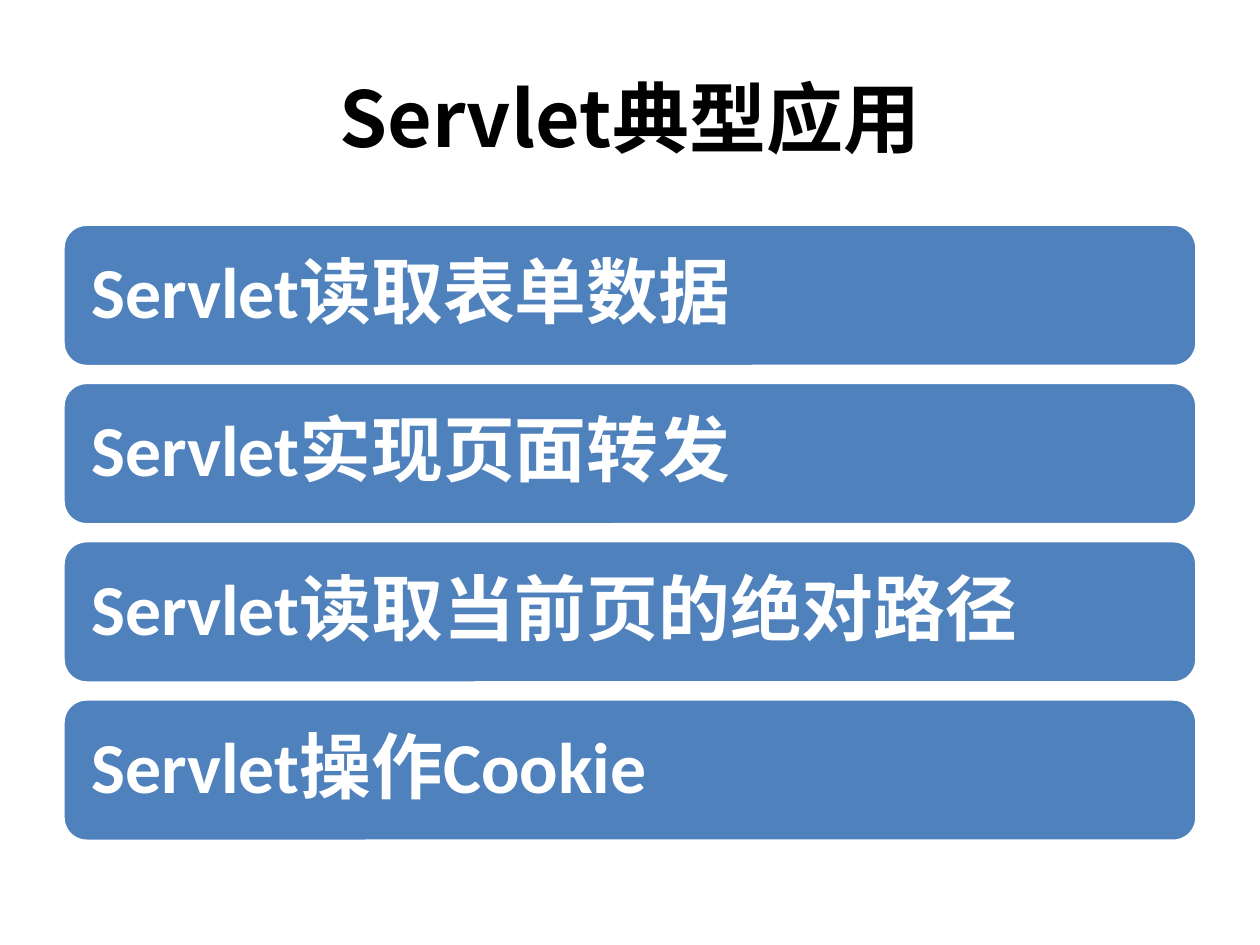
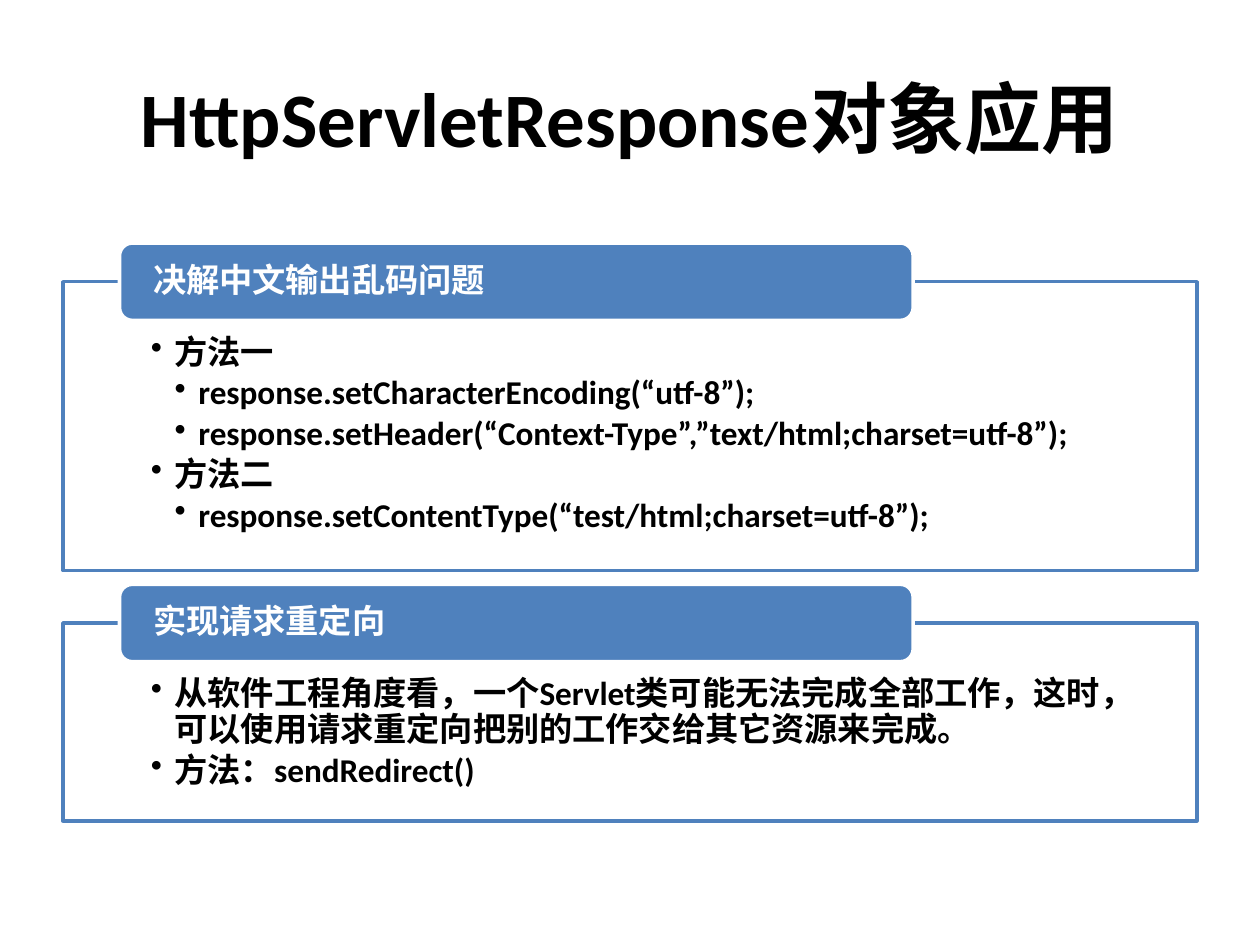
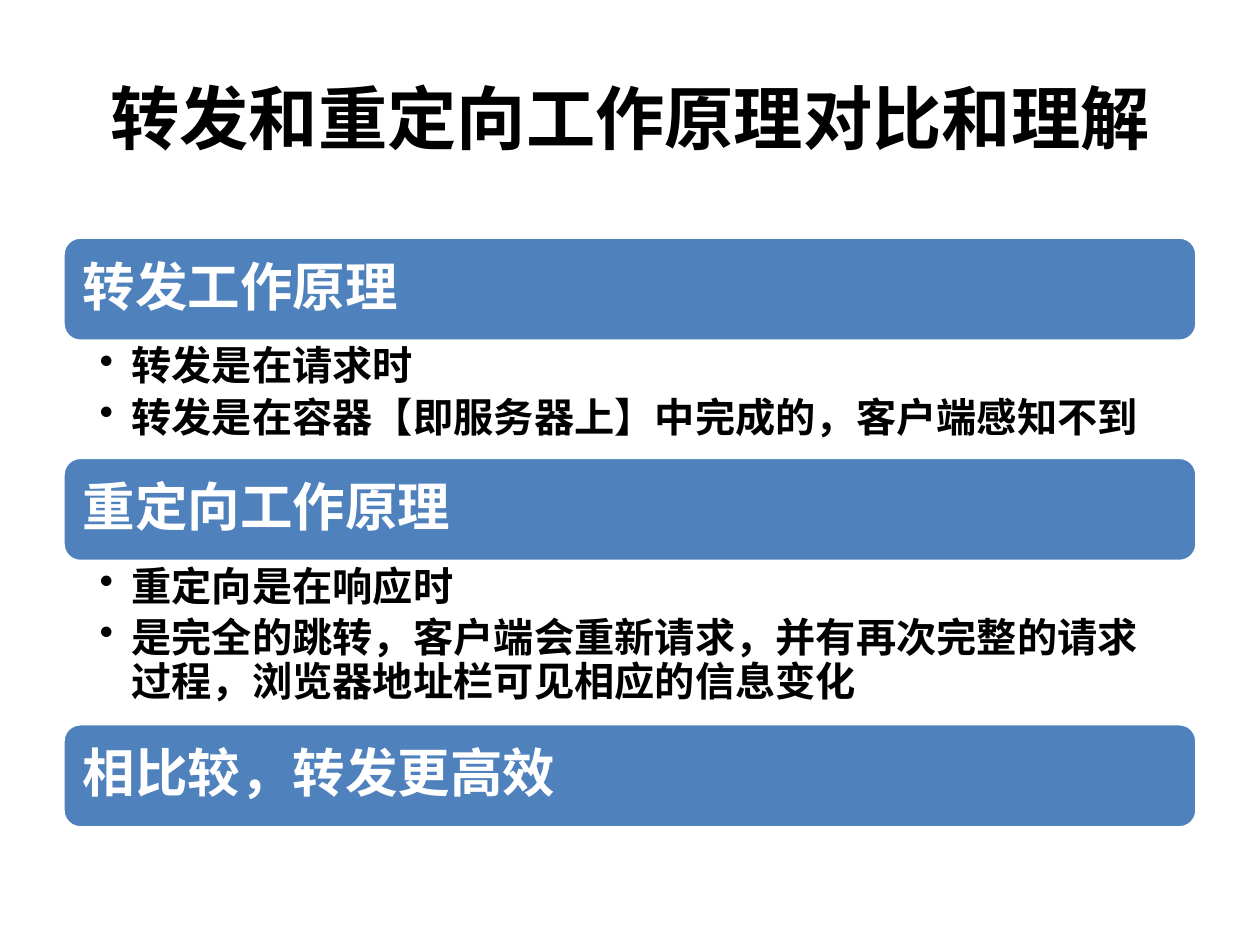
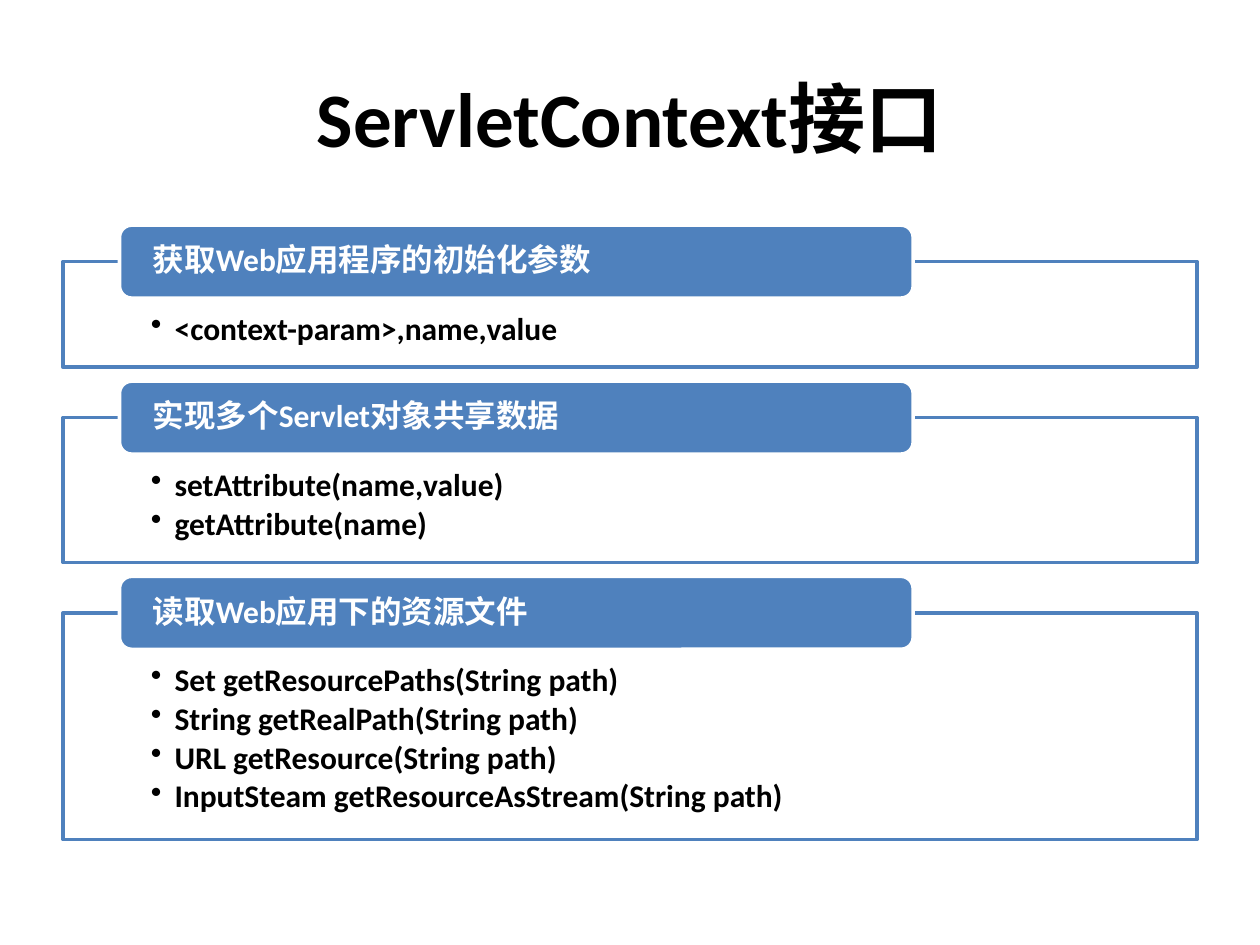
from lxml import etree
from pptx import Presentation
from pptx.dml.color import RGBColor
from pptx.enum.shapes import MSO_SHAPE
from pptx.enum.text import MSO_ANCHOR, PP_ALIGN
from pptx.oxml.ns import qn
from pptx.util import Cm, Pt

RECT, ROUND = MSO_SHAPE.RECTANGLE, MSO_SHAPE.ROUNDED_RECTANGLE
TOP, MIDDLE = MSO_ANCHOR.TOP, MSO_ANCHOR.MIDDLE
LEFT, CENTER = PP_ALIGN.LEFT, PP_ALIGN.CENTER

COLORS = {"accent": "4F81BD", "light": "FFFFFF", "dark": "000000"}
LATIN, CJK = "Calibri", "Noto Sans CJK JP"
MARGIN, CONTENT_W = 1.27, 22.86

# Content: bullets are (level, text), sections are (heading, body height, bullets)
APPLICATIONS = [
    "Servlet读取表单数据",
    "Servlet实现页面转发",
    "Servlet读取当前页的绝对路径",
    "Servlet操作Cookie",
]
RESPONSE = [
    ("决解中文输出乱码问题", 5.82, [
        (0, "方法一"),
        (1, "response.setCharacterEncoding(“utf-8”);"),
        (1, "response.setHeader(“Context-Type”,”text/html;charset=utf-8”);"),
        (0, "方法二"),
        (1, "response.setContentType(“test/html;charset=utf-8”);"),
    ]),
    ("实现请求重定向", 3.99, [
        (0, "从软件工程角度看，一个Servlet类可能无法完成全部工作，这时，"
            "可以使用请求重定向把别的工作交给其它资源来完成。"),
        (0, "方法：sendRedirect()"),
    ]),
]
COMPARISON = [
    ("转发工作原理", 2.34, [
        (0, "转发是在请求时"),
        (0, "转发是在容器【即服务器上】中完成的，客户端感知不到"),
    ]),
    ("重定向工作原理", 3.27, [
        (0, "重定向是在响应时"),
        (0, "是完全的跳转，客户端会重新请求，并有再次完整的请求过程，"
            "浏览器地址栏可见相应的信息变化"),
    ]),
    ("相比较，转发更高效", 0, []),
]
CONTEXT = [
    ("获取Web应用程序的初始化参数", 2.13, [(0, "<context-param>,name,value")]),
    ("实现多个Servlet对象共享数据", 2.92, [
        (0, "setAttribute(name,value)"),
        (0, "getAttribute(name)"),
    ]),
    ("读取Web应用下的资源文件", 4.57, [
        (0, "Set getResourcePaths(String path)"),
        (0, "String getRealPath(String path)"),
        (0, "URL getResource(String path)"),
        (0, "InputSteam getResourceAsStream(String path)"),
    ]),
]

prs = Presentation()
prs.slide_width, prs.slide_height = Cm(25.4), Cm(19.05)


# Text helpers
def set_frame(sp, anchor, insets):
    tf = sp.text_frame
    tf.word_wrap = True
    tf.vertical_anchor = anchor
    tf.margin_left, tf.margin_top, tf.margin_right, tf.margin_bottom = map(Cm, insets)
    return tf


def write(p, text, size, color, font=LATIN, align=LEFT):
    p.text = text
    p.alignment = align
    for r in p.runs:
        r.font.name, r.font.size, r.font.bold = font, Pt(size), True
        r.font.color.rgb = RGBColor.from_string(COLORS[color])
        ea = etree.Element(qn("a:ea"), typeface=font)
        r.font._element.find(qn("a:latin")).addnext(ea)


def tighten(p, size, after):
    p.line_spacing = 0.9
    p.space_after = Pt(size * after)


def write_bullets(tf, bullets, size, after, indent):
    for i, (level, text) in enumerate(bullets):
        p = tf.add_paragraph() if i else tf.paragraphs[0]
        write(p, text, size, "dark")
        tighten(p, size, after)
        p.level = level
        pPr = p._p.get_or_add_pPr()
        pPr.set("marL", str(Cm(indent * (level + 1))))
        pPr.set("indent", str(-Cm(indent)))
        etree.SubElement(pPr, qn("a:buChar"), char="•")


# Shape helpers
def add_box(s, kind, x, y, w, h, fill, line):
    sp = s.shapes.add_shape(kind, Cm(x), Cm(y), Cm(w), Cm(h))
    sp.shadow.inherit = False
    sp.fill.solid()
    sp.fill.fore_color.rgb = RGBColor.from_string(COLORS[fill])
    sp.line.color.rgb = RGBColor.from_string(COLORS[line])
    sp.line.width = Pt(2)
    return sp


def add_bar(s, text, x, y, w, h, size, insets):
    sp = add_box(s, ROUND, x, y, w, h, "accent", "light")
    p = set_frame(sp, MIDDLE, insets).paragraphs[0]
    write(p, text, size, "light")
    tighten(p, size, 0.35)


def add_slide(title, size=44, font=LATIN):
    s = prs.slides.add_slide(prs.slide_layouts[6])
    sp = s.shapes.add_textbox(Cm(MARGIN), Cm(0.76), Cm(CONTENT_W), Cm(3.18))
    tf = set_frame(sp, MIDDLE, (0.25, 0.13, 0.25, 0.13))
    write(tf.paragraphs[0], title, size, "dark", font, CENTER)
    return s


def add_framed_sections(s, sections, y, size, bar_h, inset_top):
    """Outlined boxes, each with a heading bar centred on its top edge."""
    for heading, body_h, bullets in sections:
        box_y = y + bar_h / 2
        sp = add_box(s, RECT, MARGIN, box_y, CONTENT_W, body_h, "light", "accent")
        tf = set_frame(sp, TOP, (1.77, inset_top, 1.77, 0.36))
        write_bullets(tf, bullets, size, 0.15, 0.48)
        add_bar(s, heading, 2.41, y, 16, bar_h, size, (0.6, 0, 0.6, 0))
        y = box_y + body_h + 0.28


# Slide 1: equal bars
s = add_slide("Servlet典型应用", font=CJK)
for i, text in enumerate(APPLICATIONS):
    add_bar(s, text, MARGIN, 4.52 + i * 3.19, CONTENT_W, 2.87, 41, [0.43] * 4)

# Slide 2: framed sections
s = add_slide("HttpServletResponse对象应用")
add_framed_sections(s, RESPONSE, 4.9, 19, 1.56, 1.08)

# Slide 3: bars with bullets below
s = add_slide("转发和重定向工作原理对比和理解", 39.6)
y, bar_h = 4.78, 2.1
for heading, body_h, bullets in COMPARISON:
    add_bar(s, heading, MARGIN, y, CONTENT_W, bar_h, 30, [0.3] * 4)
    y += bar_h
    if bullets:
        sp = s.shapes.add_textbox(Cm(MARGIN), Cm(y), Cm(CONTENT_W), Cm(body_h))
        tf = set_frame(sp, TOP, (0.74, 0.1, 0.58, 0.1))
        write_bullets(tf, bullets, 23, 0.2, 0.64)
    y += body_h

# Slide 4: framed sections
s = add_slide("ServletContext接口")
add_framed_sections(s, CONTEXT, 4.54, 18, 1.47, 1.04)

prs.save("out.pptx")
